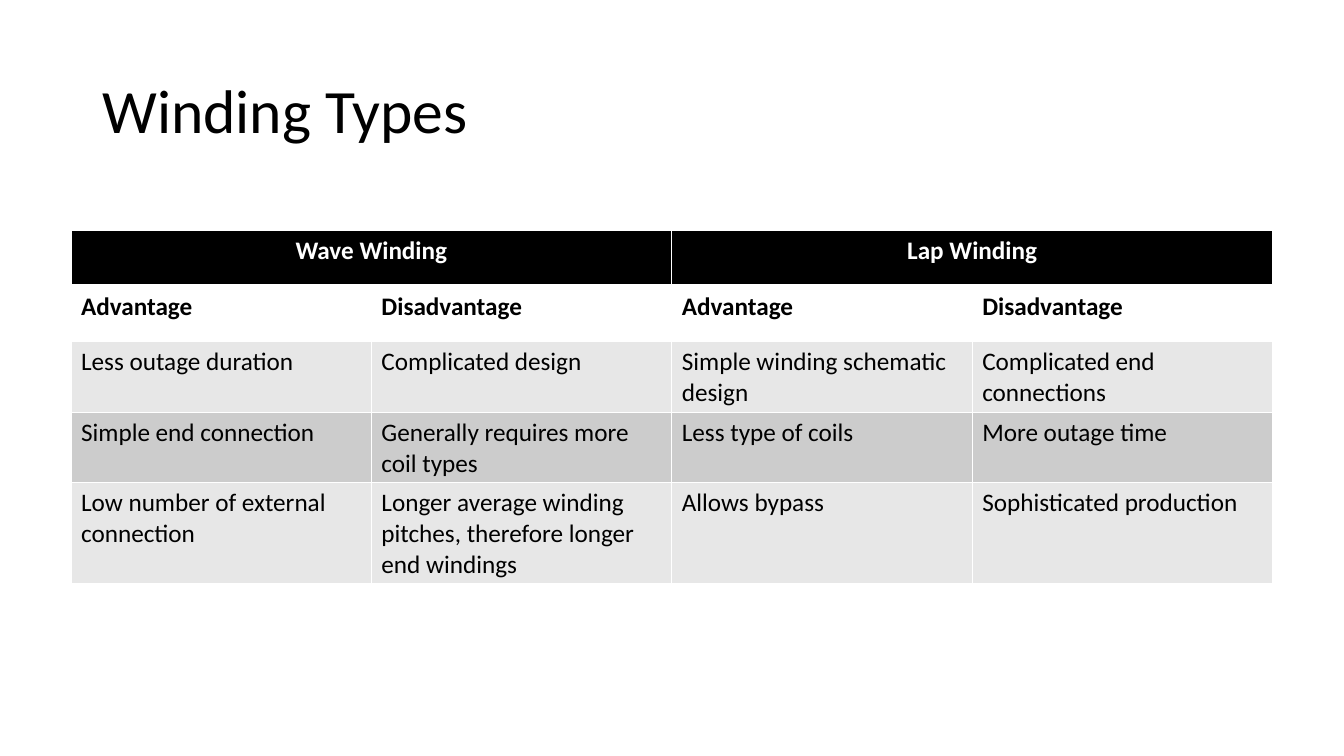
from dataclasses import dataclass

from lxml import etree
from pptx import Presentation
from pptx.dml.color import RGBColor
from pptx.enum.text import MSO_ANCHOR, PP_ALIGN
from pptx.oxml.ns import qn
from pptx.slide import Slide
from pptx.table import Table, _Cell
from pptx.text.text import TextFrame
from pptx.util import Cm, Pt

LEFT, CENTER = PP_ALIGN.LEFT, PP_ALIGN.CENTER
MIDDLE = MSO_ANCHOR.MIDDLE
FONT = "Calibri"
BLACK, WHITE = "000000", "FFFFFF"
LIGHT_GRAY, MID_GRAY = "E7E7E7", "CCCCCC"
COLUMN_COUNT = 4
COLUMN_WIDTH, ROW_HEIGHT = 7.57, 1.4
THIN, THICK = 1, 3


@dataclass(frozen=True)
class TableRow:
    texts: tuple[str, ...]
    fill: str
    color: str = BLACK
    bold: bool = False
    align: PP_ALIGN = LEFT
    top: int = THIN
    bottom: int = THIN


ROWS = (
    TableRow(("Wave Winding", "Lap Winding"), BLACK, WHITE, True, CENTER, bottom=THICK),
    TableRow(("Advantage", "Disadvantage") * 2, WHITE, bold=True, top=THICK),
    TableRow(("Less outage duration", "Complicated design",
              "Simple winding schematic design", "Complicated end connections"), LIGHT_GRAY),
    TableRow(("Simple end connection", "Generally requires more coil types",
              "Less type of coils", "More outage time"), MID_GRAY),
    TableRow(("Low number of external connection",
              "Longer average winding pitches, therefore longer end windings",
              "Allows bypass", "Sophisticated production"), LIGHT_GRAY),
)


def rgb(color: str) -> RGBColor:
    return RGBColor.from_string(color)


def write_text(frame: TextFrame, text: str, *, size: float = 18, color: str = BLACK,
               bold: bool = False, align: PP_ALIGN = LEFT, spacing: float = 1.0) -> None:
    paragraph = frame.paragraphs[0]
    paragraph.alignment = align
    paragraph.line_spacing = spacing
    run = paragraph.add_run()
    run.text = text
    run.font.name = FONT
    run.font.size = Pt(size)
    run.font.bold = bold
    run.font.color.rgb = rgb(color)


def add_borders(cell: _Cell, top: int, bottom: int) -> None:
    properties = cell._tc.get_or_add_tcPr()
    for tag, width in (("a:lnL", THIN), ("a:lnR", THIN), ("a:lnT", top), ("a:lnB", bottom)):
        line = etree.SubElement(properties, qn(tag), w=str(Pt(width)))
        fill = etree.SubElement(line, qn("a:solidFill"))
        etree.SubElement(fill, qn("a:srgbClr"), val=WHITE)


def fill_row(table: Table, index: int, row: TableRow) -> None:
    table.rows[index].height = Cm(ROW_HEIGHT)
    for cell in table.rows[index].cells:
        add_borders(cell, row.top, row.bottom)
        cell.fill.solid()
        cell.fill.fore_color.rgb = rgb(row.fill)

    # Fewer texts than columns means that each text spans several columns
    span = COLUMN_COUNT // len(row.texts)
    for position, text in enumerate(row.texts):
        first = position * span
        cell = table.cell(index, first)
        if span > 1:
            cell.merge(table.cell(index, first + span - 1))
        write_text(cell.text_frame, text, color=row.color, bold=row.bold, align=row.align)


def add_title(slide: Slide, text: str) -> None:
    title = slide.shapes.add_textbox(Cm(2.33), Cm(1.01), Cm(29.21), Cm(3.68))
    title.text_frame.word_wrap = True
    title.text_frame.vertical_anchor = MIDDLE
    write_text(title.text_frame, text, size=44, spacing=0.9)


def add_winding_table(slide: Slide) -> None:
    table = slide.shapes.add_table(
        len(ROWS), COLUMN_COUNT, Cm(1.79), Cm(5.81),
        Cm(COLUMN_WIDTH * COLUMN_COUNT), Cm(ROW_HEIGHT * len(ROWS))).table
    table.first_row = False
    table.horz_banding = False
    for column in table.columns:
        column.width = Cm(COLUMN_WIDTH)
    for index, row in enumerate(ROWS):
        fill_row(table, index, row)


def main() -> None:
    presentation = Presentation()
    presentation.slide_width = Cm(33.87)
    presentation.slide_height = Cm(19.05)
    slide = presentation.slides.add_slide(presentation.slide_layouts[6])
    add_title(slide, "Winding Types")
    add_winding_table(slide)
    presentation.save("out.pptx")


if __name__ == "__main__":
    main()
